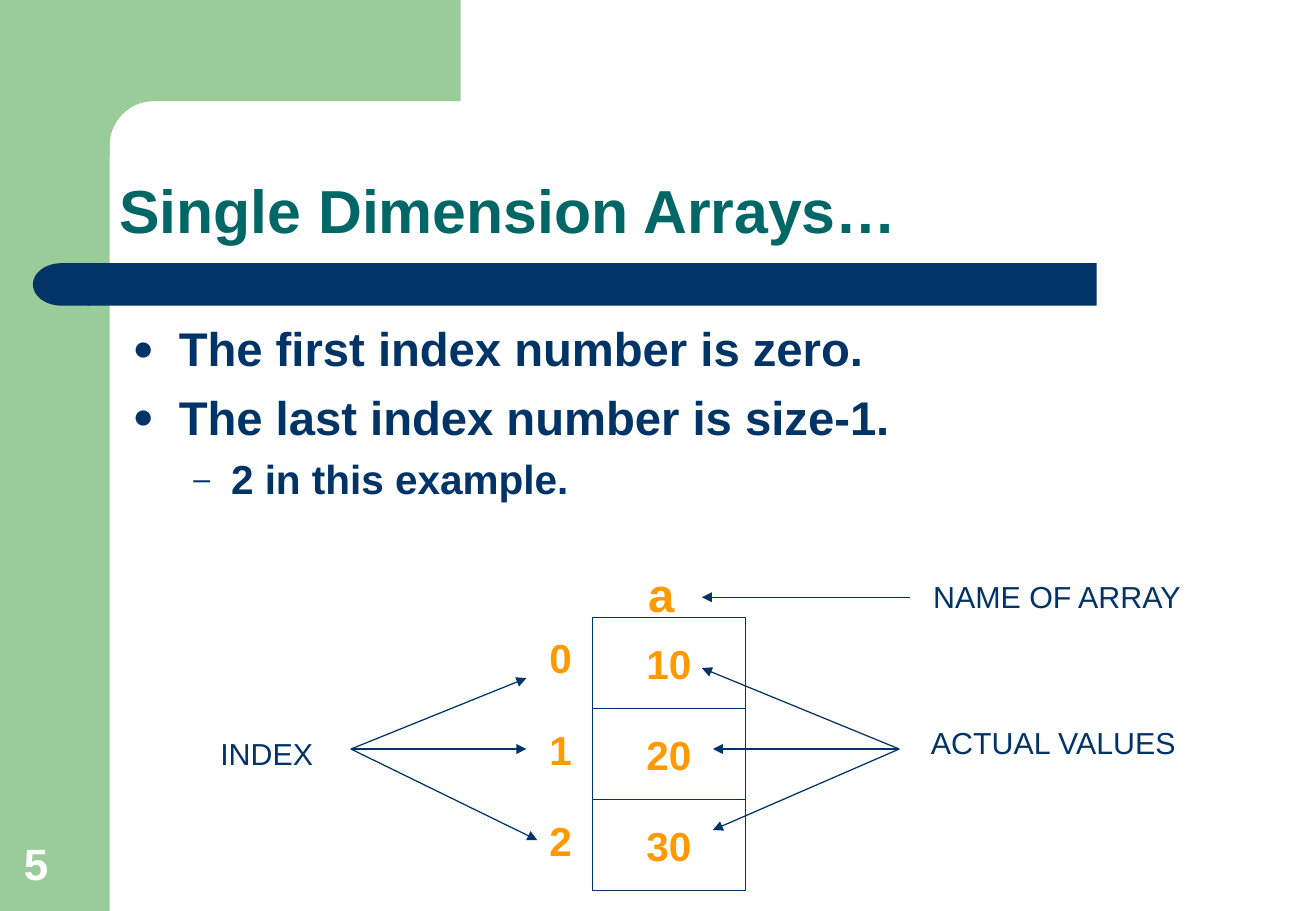
from math import cos, pi, sin

from lxml.etree import SubElement
from pptx import Presentation
from pptx.dml.color import RGBColor
from pptx.enum.shapes import MSO_CONNECTOR, MSO_SHAPE
from pptx.enum.text import MSO_ANCHOR, PP_ALIGN
from pptx.oxml.ns import qn
from pptx.util import Inches, Pt

WIDE, HIGH = Inches(10.83), Inches(7.5)
COLS, ROWS = 120, 90
GREEN, NAVY, TEAL, GOLD, WHITE = "99CC99", "003366", "006666", "FF9900", "FFFFFF"
CELL = 9  # rows per array cell


def col(n):
    return round(WIDE * n / COLS)


def row(n):
    return round(HIGH * n / ROWS)


def box(x, y, w, h):
    """Turn grid units into left, top, width, height."""
    return col(x), row(y), col(w), row(h)


def paint(part, tint):
    """Give a fill or a font its colour."""
    if hasattr(part, "solid"):
        part.solid()
        part = part.fore_color
    else:
        part = part.color
    part.rgb = RGBColor.from_string(tint)


def write(para, text, size=18, tint=NAVY, bold=False, align=PP_ALIGN.LEFT):
    run = para.add_run()
    run.text = text
    run.font.name, run.font.size, run.font.bold = "Arial", Pt(size), bold
    paint(run.font, tint)
    para.alignment = align


def label(slide, text, place, anchor=MSO_ANCHOR.TOP, **style):
    frame = slide.shapes.add_textbox(*box(*place)).text_frame
    frame.word_wrap = False
    frame.vertical_anchor = anchor
    write(frame.paragraphs[0], text, **style)


def block(slide, kind, place, fill):
    shape = slide.shapes.add_shape(kind, *box(*place))
    shape.shadow.inherit = False
    paint(shape.fill, fill)
    shape.line.fill.background()
    return shape


def corner(slide):
    """Draw the top band with its rounded inner corner."""
    arc = [(14 - 4 * sin(t), 14.4 - 4.4 * cos(t))
           for t in (pi / 2 * i / 16 for i in range(17))]
    dots = [(42, 10), *arc, (10, 15.4), (6, 15.4), (6, 0)]
    build = slide.shapes.build_freeform(col(42), 0)
    build.add_line_segments([(col(x), row(y)) for x, y in dots])
    shape = build.convert_to_shape()
    shape.shadow.inherit = False
    paint(shape.fill, GREEN)
    shape.line.fill.background()


def arrow(slide, start, end):
    link = slide.shapes.add_connector(
        MSO_CONNECTOR.STRAIGHT,
        col(start[0]), row(start[1]), col(end[0]), row(end[1]))
    paint(link.line.fill, NAVY)
    link.line.width = Pt(0.75)
    SubElement(link.line._get_or_add_ln(), qn("a:tailEnd"), type="triangle")
    SubElement(link._element.spPr, qn("a:effectLst"))


def bullet(para, mark, left, hang):
    props = para._p.get_or_add_pPr()
    props.set("marL", str(Inches(left)))
    props.set("indent", str(-Inches(hang)))
    tint = SubElement(props, qn("a:buClr"))
    SubElement(tint, qn("a:srgbClr"), val=NAVY)
    SubElement(props, qn("a:buSzPct"), val="75000")
    SubElement(props, qn("a:buFont"), typeface="Arial")
    SubElement(props, qn("a:buChar"), char=mark)


def frame_art(slide):
    """Draw the green side, the navy bar and the page number."""
    block(slide, MSO_SHAPE.RECTANGLE, (0, 0, 10, ROWS), GREEN)
    corner(slide)
    block(slide, MSO_SHAPE.RECTANGLE, (8, 26, 92, 4.2), NAVY)
    cap = block(slide, MSO_SHAPE.FLOWCHART_DELAY, (3, 26, 5.2, 4.2), NAVY)
    cap.rotation = 180
    label(slide, "5", (1.1, 82, 7.8, 6.4), MSO_ANCHOR.BOTTOM,
          size=26, tint=WHITE, bold=True)


def head(slide, text):
    title = slide.shapes.title
    title.left, title.top, title.width, title.height = box(10, 10, 104, 15)
    frame = title.text_frame
    frame.margin_left = Inches(0.08)
    frame.vertical_anchor = MSO_ANCHOR.BOTTOM
    para = frame.paragraphs[0]
    para.line_spacing = 0.9
    write(para, text, size=36, tint=TEAL, bold=True)


def points(slide):
    frame = slide.shapes.add_textbox(*box(11, 31, 109, 59)).text_frame
    frame.word_wrap = True
    items = [("The first index number is zero.", 0),
             ("The last index number is size-1.", 0),
             ("2 in this example.", 1)]
    forms = [(28, "●", 0.38, 0.38), (24, "–", 0.81, 0.31)]
    for i, (text, level) in enumerate(items):
        para = frame.add_paragraph() if i else frame.paragraphs[0]
        size, mark, left, hang = forms[level]
        para.level = level
        para.space_before = Pt(size * 0.24)
        write(para, text, size=size, bold=True)
        bullet(para, mark, left, hang)


def array(slide):
    """Draw the cells with their values and index numbers."""
    for i, value in enumerate(("10", "20", "30")):
        cell = block(slide, MSO_SHAPE.RECTANGLE,
                     (54, 61 + CELL * i, 14, CELL), WHITE)
        cell.fill.background()
        paint(cell.line.fill, NAVY)
        cell.line.width = Pt(0.75)
        frame = cell.text_frame
        frame.word_wrap = False
        frame.vertical_anchor = MSO_ANCHOR.MIDDLE
        write(frame.paragraphs[0], value, size=24, tint=GOLD, bold=True,
              align=PP_ALIGN.CENTER)
        label(slide, str(i), (49, 62 + CELL * i, 4.3, 6),
              size=24, tint=GOLD, bold=True)
    label(slide, "a", (58, 55.3, 4.6, 6.8), size=28, tint=GOLD, bold=True)


def notes(slide):
    """Name the parts of the array and point to them."""
    label(slide, "NAME OF ARRAY", (84, 56.5, 25, 4.8))
    label(slide, "INDEX", (19, 72, 10.8, 4.8))
    label(slide, "ACTUAL VALUES", (83.8, 71, 24.8, 4.8))
    fans = {(83, 59): [(64, 59)],
            (32, 74): [(48, 67), (48, 74), (49, 83)],
            (82, 74): [(64, 66), (65, 74), (65, 82)]}
    for start, ends in fans.items():
        for end in ends:
            arrow(slide, start, end)


def main():
    deck = Presentation()
    deck.slide_width, deck.slide_height = WIDE, HIGH
    slide = deck.slides.add_slide(deck.slide_layouts[5])
    frame_art(slide)
    head(slide, "Single Dimension Arrays…")
    points(slide)
    array(slide)
    notes(slide)
    deck.save("out.pptx")


if __name__ == "__main__":
    main()
